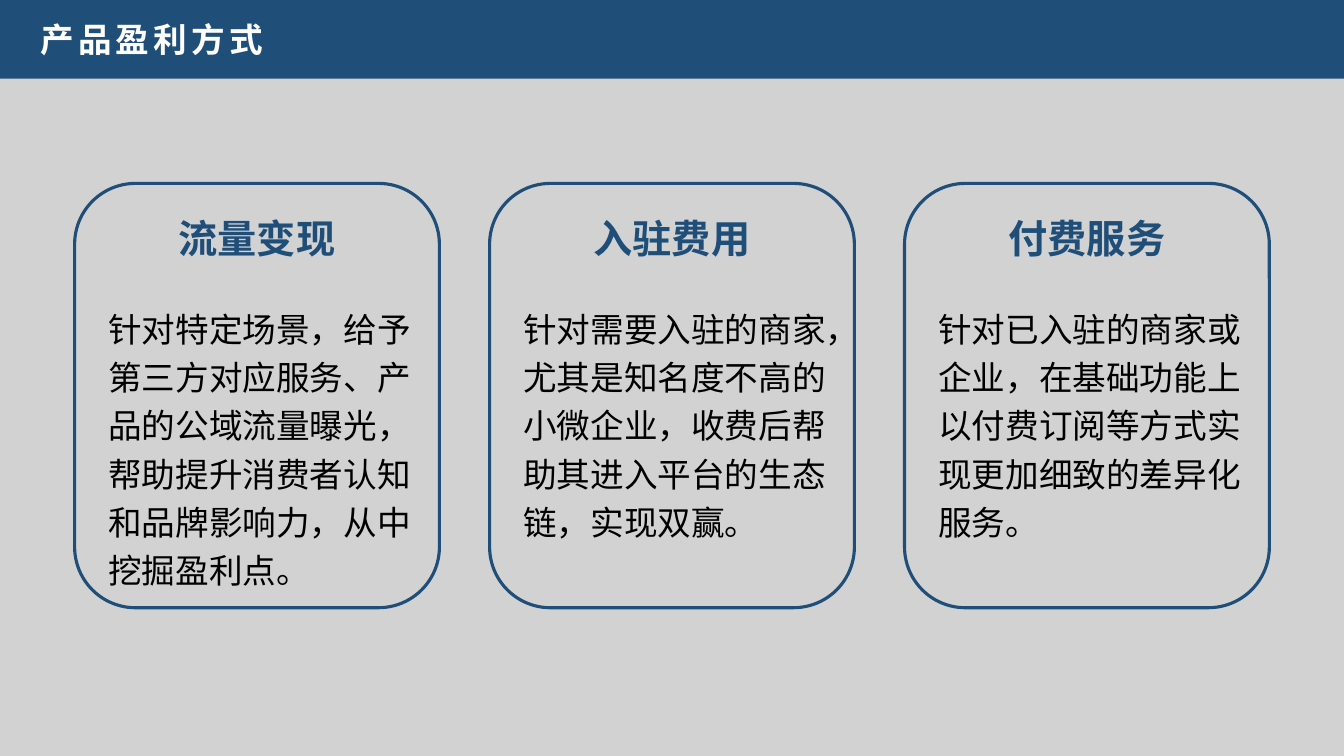
from dataclasses import dataclass

from lxml import etree
from pptx import Presentation
from pptx.dml.color import RGBColor
from pptx.enum.lang import MSO_LANGUAGE_ID
from pptx.enum.shapes import MSO_SHAPE
from pptx.enum.text import MSO_ANCHOR, MSO_AUTO_SIZE, PP_ALIGN
from pptx.oxml.ns import qn
from pptx.util import Pt

RECT, ROUND = MSO_SHAPE.RECTANGLE, MSO_SHAPE.ROUNDED_RECTANGLE
LEFT, CENTER = PP_ALIGN.LEFT, PP_ALIGN.CENTER
TOP, MIDDLE = MSO_ANCHOR.TOP, MSO_ANCHOR.MIDDLE
FIXED = MSO_AUTO_SIZE.NONE
CHINESE = MSO_LANGUAGE_ID.SIMPLIFIED_CHINESE


@dataclass(frozen=True)
class Theme:
    """Colours, fonts and type sizes of the slide."""
    back: RGBColor = RGBColor(0xD2, 0xD2, 0xD2)
    navy: RGBColor = RGBColor(0x1F, 0x4E, 0x79)
    white: RGBColor = RGBColor(0xFF, 0xFF, 0xFF)
    black: RGBColor = RGBColor(0, 0, 0)
    sans: str = "Noto Sans CJK SC"
    serif: str = "Times New Roman"
    head: Pt = Pt(28)
    body: Pt = Pt(24)
    edge: Pt = Pt(2.25)


THEME = Theme()
TITLE = {"name": THEME.serif, "size": THEME.body, "bold": True}
HEAD = {"name": THEME.sans, "size": THEME.head, "bold": True}
BODY = {"name": THEME.sans, "size": THEME.body, "bold": False}

CARDS = [
    ("流量变现", "针对特定场景，给予第三方对应服务、产品的公域流量曝光，"
     "帮助提升消费者认知和品牌影响力，从中挖掘盈利点。"),
    ("入驻费用", "针对需要入驻的商家，尤其是知名度不高的小微企业，"
     "收费后帮助其进入平台的生态链，实现双赢。"),
    ("付费服务", "针对已入驻的商家或企业，在基础功能上"
     "以付费订阅等方式实现更加细致的差异化服务。"),
]
CARD_X, CARD_Y, CARD_W, CARD_H = 53.3, 131, 260.6, 303.1
STEP = 296.4
INDENT = 17


def apply(target, values):
    """Set every attribute named in values on target."""
    for key, value in values.items():
        setattr(target, key, value)


def write(shape, text, font, color, align=LEFT, anchor=TOP, lines=1.0, gap=0):
    """Put one formatted paragraph in a shape; gap is letter spacing in points."""
    frame = shape.text_frame
    frame.text = text
    apply(frame, {"word_wrap": True, "auto_size": FIXED,
                  "vertical_anchor": anchor})
    par = frame.paragraphs[0]
    apply(par, {"alignment": align, "line_spacing": lines})
    run = par.runs[0]
    apply(run.font, {**font, "language_id": CHINESE})
    run.font.color.rgb = color
    for props in shape.element.iter(qn("a:rPr")):
        etree.SubElement(props, qn("a:ea"), typeface=THEME.sans)
        if gap:
            props.set("spc", str(gap * 100))


def add_bar(slide, width):
    """Draw the title bar behind the title."""
    bar = slide.shapes.add_shape(RECT, 0, 0, width, Pt(56.2))
    bar.shadow.inherit = False
    bar.fill.solid()
    bar.fill.fore_color.rgb = THEME.navy
    bar.line.fill.background()
    slide.shapes.title.element.addprevious(bar.element)


def set_title(slide, text):
    """Place and fill the title placeholder."""
    title = slide.shapes.title
    apply(title, {"left": Pt(21.6), "top": Pt(10), "width": Pt(560),
                  "height": Pt(36)})
    write(title, text, TITLE, THEME.white, anchor=MIDDLE, gap=3)


def add_card(slide, left, head, body):
    """Draw an outlined card with its heading and text."""
    shapes = slide.shapes
    text = shapes.add_textbox(Pt(left + INDENT), Pt(211),
                              Pt(CARD_W - INDENT), Pt(217))
    write(text, body, BODY, THEME.black, lines=1.2)
    frame = shapes.add_shape(ROUND, Pt(left), Pt(CARD_Y),
                             Pt(CARD_W), Pt(CARD_H))
    frame.shadow.inherit = False
    frame.fill.background()
    frame.line.color.rgb = THEME.navy
    frame.line.width = THEME.edge
    label = shapes.add_textbox(Pt(left), Pt(149.8), Pt(CARD_W), Pt(41))
    write(label, head, HEAD, THEME.navy, align=CENTER)


def main():
    """Build and save the slide."""
    deck = Presentation()
    apply(deck, {"slide_width": Pt(960), "slide_height": Pt(540)})
    slide = deck.slides.add_slide(deck.slide_layouts.get_by_name("Title Only"))
    fill = slide.background.fill
    fill.solid()
    fill.fore_color.rgb = THEME.back
    add_bar(slide, deck.slide_width)
    set_title(slide, "产品盈利方式")
    for col, (head, body) in enumerate(CARDS):
        add_card(slide, CARD_X + col * STEP, head, body)
    deck.save("out.pptx")


main()
